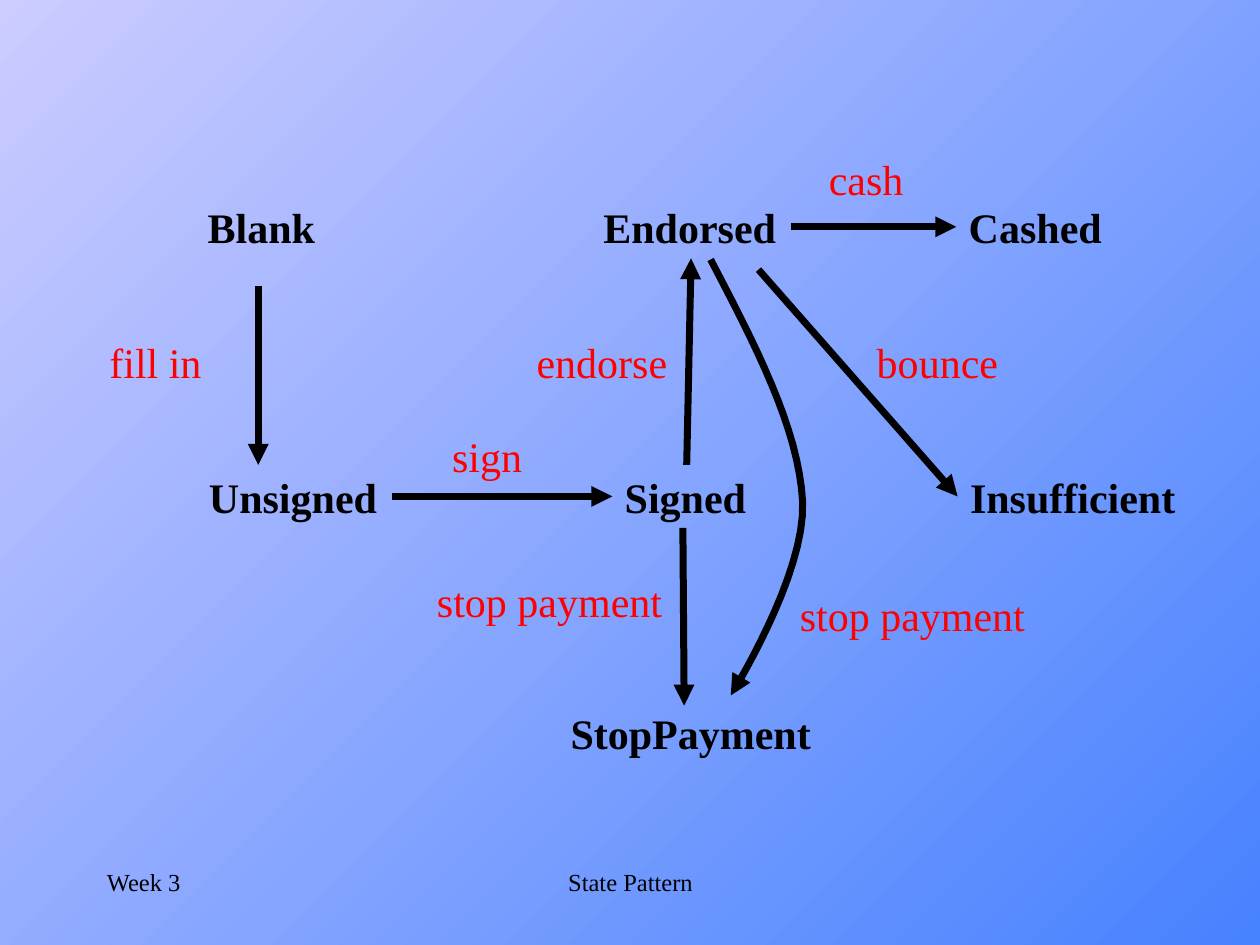
from dataclasses import dataclass
from typing import Optional

from lxml import etree
from pptx import Presentation
from pptx.dml.color import RGBColor
from pptx.enum.shapes import MSO_CONNECTOR
from pptx.enum.text import MSO_AUTO_SIZE, PP_ALIGN
from pptx.oxml.ns import qn
from pptx.util import Inches, Pt

LEFT, CENTER = PP_ALIGN.LEFT, PP_ALIGN.CENTER
STRAIGHT = MSO_CONNECTOR.STRAIGHT
FIT_SHAPE, NO_FIT = MSO_AUTO_SIZE.SHAPE_TO_FIT_TEXT, MSO_AUTO_SIZE.NONE
TOP_SIDE, LEFT_SIDE, BOTTOM_SIDE, RIGHT_SIDE = range(4)

FONT = "Times New Roman"
BLACK, RED = "000000", "FF0000"
SKY_START, SKY_END = "CCCCFF", "4782FF"
BOX_HEIGHT = 0.5
WIDTH_SLACK = 0.02  # keeps each label on one line
LINE_WIDTH = 4
UPPER_ROW, LOWER_ROW, LABEL_ROW = 1.55, 3.69, 2.62

Point = tuple[float, float]


@dataclass
class Label:
    text: str
    left: float
    top: float
    width: float


@dataclass
class Transition:
    start: Point
    end: Point
    source: Optional[tuple[str, int]] = None
    target: Optional[tuple[str, int]] = None


STATES = [
    Label("Blank", 1.55, UPPER_ROW, 1.05),
    Label("Signed", 4.86, LOWER_ROW, 1.16),
    Label("Unsigned", 1.56, LOWER_ROW, 1.53),
    Label("Endorsed", 4.69, UPPER_ROW, 1.57),
    Label("Cashed", 7.59, UPPER_ROW, 1.25),
    Label("Insufficient", 7.6, LOWER_ROW, 1.83),
    Label("StopPayment", 4.43, 5.57, 2.11),
]

ACTIONS = [
    Label("fill in", 0.77, LABEL_ROW, 0.93),
    Label("sign", 3.49, 3.37, 0.75),
    Label("endorse", 4.16, LABEL_ROW, 1.23),
    Label("cash", 6.48, 1.17, 0.79),
    Label("bounce", 6.86, LABEL_ROW, 1.16),
    Label("stop payment", 3.37, 4.52, 1.98),
    Label("stop payment", 6.25, 4.63, 1.98),
]

TRANSITIONS = [
    Transition((2.05, 2.27), (2.05, 3.69)),
    Transition((3.1, 3.94), (4.85, 3.94), ("Unsigned", RIGHT_SIDE), ("Signed", LEFT_SIDE)),
    Transition((5.44, 3.69), (5.48, 2.05), ("Signed", TOP_SIDE), ("Endorsed", BOTTOM_SIDE)),
    Transition((6.27, 1.8), (7.59, 1.8), ("Endorsed", RIGHT_SIDE), ("Cashed", LEFT_SIDE)),
    Transition((6.02, 2.14), (7.59, 3.94), target=("Insufficient", LEFT_SIDE)),
    Transition((5.42, 4.19), (5.43, 5.6)),
]

# Bezier segments of the curve from Endorsed to StopPayment
STOP_CURVE = [
    ((5.64, 2.06), (5.99, 2.73), (6.34, 3.4), (6.37, 3.98)),
    ((6.37, 3.98), (6.4, 4.56), (5.8, 5.52), (5.8, 5.52)),
]
CURVE_STEPS = 16


def color(hex_value: str) -> RGBColor:
    return RGBColor.from_string(hex_value)


def add_text(slide, label: Label, *, size=24, hex_color=BLACK, bold=False,
             align=LEFT, wrap=False):
    width = label.width if wrap else label.width + WIDTH_SLACK
    shape = slide.shapes.add_textbox(Inches(label.left), Inches(label.top),
                                     Inches(width), Inches(BOX_HEIGHT))
    frame = shape.text_frame
    frame.word_wrap = wrap
    frame.auto_size = NO_FIT if wrap else FIT_SHAPE
    paragraph = frame.paragraphs[0]
    paragraph.alignment = align
    run = paragraph.add_run()
    run.text = label.text
    run.font.name = FONT
    run.font.size = Pt(size)
    run.font.bold = bold
    run.font.color.rgb = color(hex_color)
    return shape


def style_arrow(shape) -> None:
    """Give a connector or open curve a black line, an arrowhead and no shadow."""
    shape.line.color.rgb = color(BLACK)
    shape.line.width = Pt(LINE_WIDTH)
    line = shape.line._get_or_add_ln()
    etree.SubElement(line, qn("a:tailEnd"), type="triangle")
    etree.SubElement(shape._element.spPr, qn("a:effectLst"))


def add_transition(slide, transition: Transition, boxes: dict) -> None:
    ends = [Inches(value) for value in transition.start + transition.end]
    connector = slide.shapes.add_connector(STRAIGHT, *ends)
    if transition.source:
        name, side = transition.source
        connector.begin_connect(boxes[name], side)
    if transition.target:
        name, side = transition.target
        connector.end_connect(boxes[name], side)
    style_arrow(connector)


def bezier_point(segment: tuple[Point, ...], t: float) -> Point:
    weights = ((1 - t) ** 3, 3 * t * (1 - t) ** 2, 3 * t ** 2 * (1 - t), t ** 3)
    x, y = (sum(weight * point[axis] for weight, point in zip(weights, segment))
            for axis in (0, 1))
    return x, y


def add_curve(slide, segments: list) -> None:
    points = [bezier_point(segment, step / CURVE_STEPS)
              for segment in segments for step in range(1, CURVE_STEPS + 1)]
    start_x, start_y = segments[0][0]
    builder = slide.shapes.build_freeform(Inches(start_x), Inches(start_y))
    builder.add_line_segments([(Inches(x), Inches(y)) for x, y in points], close=False)
    curve = builder.convert_to_shape()
    curve.fill.background()
    style_arrow(curve)


def main() -> None:
    presentation = Presentation()
    presentation.slide_width, presentation.slide_height = Inches(10), Inches(7.5)
    slide = presentation.slides.add_slide(presentation.slide_layouts[6])

    # Diagonal background; the angle is counted counter-clockwise
    background = slide.background.fill
    background.gradient()
    background.gradient_angle = 315
    for stop, hex_value in zip(background.gradient_stops, (SKY_START, SKY_END)):
        stop.color.rgb = color(hex_value)

    # Footer
    add_text(slide, Label("Week 3", 0.75, 6.83, 2.08), size=14, wrap=True)
    add_text(slide, Label("State Pattern", 3.42, 6.83, 3.17), size=14,
             align=CENTER, wrap=True)

    # States, transitions and the actions that trigger them
    boxes = {state.text: add_text(slide, state, bold=True) for state in STATES}
    for transition in TRANSITIONS:
        add_transition(slide, transition, boxes)
    for action in ACTIONS:
        add_text(slide, action, hex_color=RED)
    add_curve(slide, STOP_CURVE)

    presentation.save("out.pptx")


if __name__ == "__main__":
    main()
